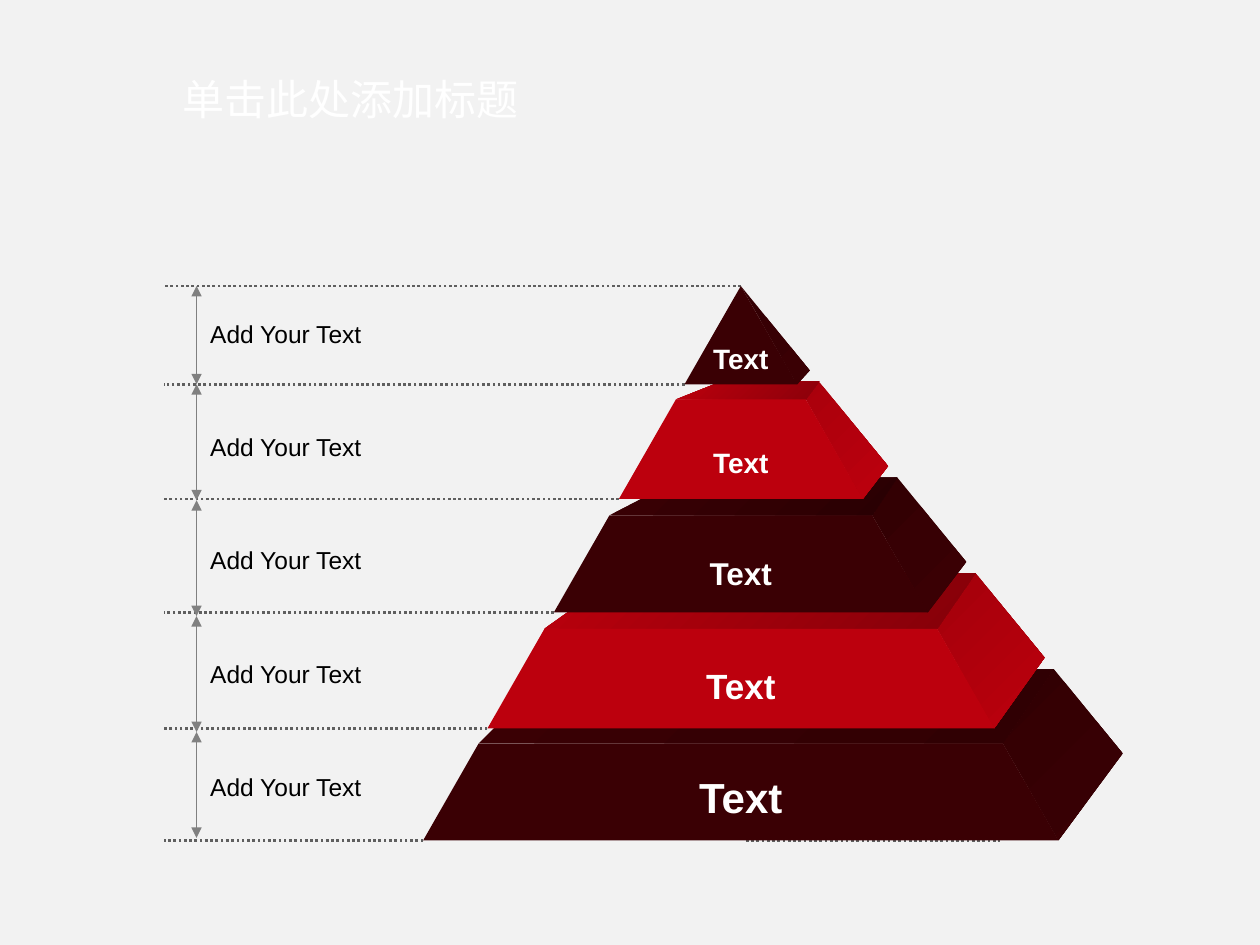
from dataclasses import dataclass

from lxml.etree import SubElement
from pptx import Presentation
from pptx.dml.color import RGBColor
from pptx.enum.dml import MSO_LINE
from pptx.enum.shapes import MSO_CONNECTOR
from pptx.enum.text import MSO_ANCHOR, PP_ALIGN
from pptx.oxml.ns import qn
from pptx.util import Inches, Pt


@dataclass(frozen=True)
class Theme:
    """Colours, font and type sizes of the slide."""
    background: str = "F2F2F2"
    white: str = "FFFFFF"
    black: str = "000000"
    dots: str = "5F5F5F"
    arrows: str = "808080"
    dark: str = "3A0004"
    red: str = "BC000D"
    font: str = "Arial"
    title_size: int = 24
    label_size: int = 14


@dataclass(frozen=True)
class Tier:
    """One pyramid layer, with heights measured down from the apex."""
    front_top: float
    bottom: float
    back_left: float
    color: str
    side_shade: str
    top_shade: str
    text_middle: float
    text_size: int


THEME = Theme()
FRONT_SLOPE = 0.573
RIDGE_SLOPE = 0.817
TIER_STEP = 0.76
APEX_OFFSET = 2.52
TIERS = [
    Tier(0, 0.78, 0, THEME.dark, "340004", THEME.dark, 0.57, 16),
    Tier(0.9, 1.69, 0.16, THEME.red, "AA000C", "8C000A", 1.4, 16),
    Tier(1.82, 2.59, 0.46, THEME.dark, "330003", "2A0003", 2.28, 18),
    Tier(2.72, 3.51, 0.94, THEME.red, "A4000B", "840009", 3.17, 20),
    Tier(3.63, 4.4, 1.49, THEME.dark, "320003", "300003", 4.05, 24),
]
ARROW_STOPS = [0, 0.78, 1.7, 2.62, 3.54, 4.38]


def rgb(color):
    """Turn a hex string into a colour."""
    return RGBColor.from_string(color)


def add_text(slide, left, top, width, height, text, size, color,
             align=PP_ALIGN.LEFT, bold=False):
    """Add a single-line text box, centred vertically."""
    box = slide.shapes.add_textbox(Inches(left), Inches(top), Inches(width), Inches(height))
    frame = box.text_frame
    frame.word_wrap = False
    frame.vertical_anchor = MSO_ANCHOR.MIDDLE
    paragraph = frame.paragraphs[0]
    paragraph.alignment = align
    run = paragraph.add_run()
    run.text = text
    run.font.name = THEME.font
    run.font.size = Pt(size)
    run.font.bold = bold
    run.font.color.rgb = rgb(color)


def add_line(slide, start, end, color, width, dash=None, arrows=False):
    """Add a straight line, dotted or with an arrowhead at each end."""
    connector = slide.shapes.add_connector(
        MSO_CONNECTOR.STRAIGHT, *(Inches(value) for value in (*start, *end)))
    connector.line.color.rgb = rgb(color)
    connector.line.width = Pt(width)
    if dash:
        connector.line.dash_style = dash
    properties = connector._element.spPr
    if arrows:
        outline = properties.find(qn("a:ln"))
        for tag in ("a:headEnd", "a:tailEnd"):
            SubElement(outline, qn(tag), type="triangle")
    SubElement(properties, qn("a:effectLst"))


def add_face(slide, points, color, end_color=None):
    """Add a polygon with a plain fill or a diagonal gradient."""
    corners = [(Inches(x), Inches(y)) for x, y in points]
    builder = slide.shapes.build_freeform(*corners[0])
    builder.add_line_segments(corners[1:], close=True)
    shape = builder.convert_to_shape()
    shape.shadow.inherit = False
    shape.line.fill.background()
    if end_color:
        shape.fill.gradient()
        shape.fill.gradient_angle = 315
        for stop, stop_color in zip(shape.fill.gradient_stops, (color, end_color)):
            stop.color.rgb = rgb(stop_color)
    else:
        shape.fill.solid()
        shape.fill.fore_color.rgb = rgb(color)


def add_title(slide, left, top, width, height):
    """Add the slide title."""
    add_text(slide, left, top, width, height, "单击此处添加标题",
             THEME.title_size, THEME.white)


def add_scale(slide, left, top, apex):
    """Add the dotted levels, the arrows between them and their labels."""
    for depth in [0] + [tier.bottom for tier in TIERS]:
        add_line(slide, (apex - FRONT_SLOPE * depth, top + depth), (left, top + depth),
                 THEME.dots, 1.5, dash=MSO_LINE.ROUND_DOT)
    base = top + TIERS[-1].bottom
    add_line(slide, (apex + 0.04, base), (apex + 2.06, base),
             THEME.dots, 1.5, dash=MSO_LINE.ROUND_DOT)
    for start, end in zip(ARROW_STOPS, ARROW_STOPS[1:]):
        add_line(slide, (left + 0.26, top + start), (left + 0.26, top + end),
                 THEME.arrows, 0.75, arrows=True)
    for index in range(len(TIERS)):
        add_text(slide, left + 0.27, top + 0.21 + 0.9 * index, 1.59, 0.33,
                 "Add Your Text", THEME.label_size, THEME.black)


def add_tier(slide, apex, top, index):
    """Add the side, top and front faces of one layer."""
    tier = TIERS[index]
    back = TIER_STEP * index
    tip = back + 0.67
    half_top, half_bottom = FRONT_SLOPE * tier.front_top, FRONT_SLOPE * tier.bottom
    front_left = (apex - half_top, top + tier.front_top)
    front_right = (apex + half_top, top + tier.front_top)
    base_left = (apex - half_bottom, top + tier.bottom)
    base_right = (apex + half_bottom, top + tier.bottom)
    back_left = (apex - tier.back_left, top + back)
    back_right = (apex + RIDGE_SLOPE * back, top + back)
    side_tip = (apex + RIDGE_SLOPE * tip, top + tip)
    add_face(slide, [base_right, front_right, back_right, side_tip],
             tier.side_shade, tier.color)
    if index:
        add_face(slide, [front_left, front_right, back_right, back_left],
                 tier.color, tier.top_shade)
    add_face(slide, [front_left, front_right, base_right, base_left], tier.color)


def add_pyramid(slide, left, top):
    """Add all layers from the base up, then their captions."""
    apex = left + APEX_OFFSET
    for index in reversed(range(len(TIERS))):
        add_tier(slide, apex, top, index)
    for tier in TIERS:
        add_text(slide, apex - 0.45, top + tier.text_middle - 0.25, 0.9, 0.5, "Text",
                 tier.text_size, THEME.white, PP_ALIGN.CENTER, bold=True)


def main():
    """Build and save the slide."""
    presentation = Presentation()
    presentation.slide_width, presentation.slide_height = Inches(10), Inches(7.5)
    slide = presentation.slides.add_slide(presentation.slide_layouts[6])
    slide.background.fill.solid()
    slide.background.fill.fore_color.rgb = rgb(THEME.background)
    add_title(slide, 1.35, 0.48, 7.5, 0.6)
    add_scale(slide, 1.3, 2.27, apex=3.36 + APEX_OFFSET)
    add_pyramid(slide, 3.36, 2.27)
    presentation.save("out.pptx")


if __name__ == "__main__":
    main()
